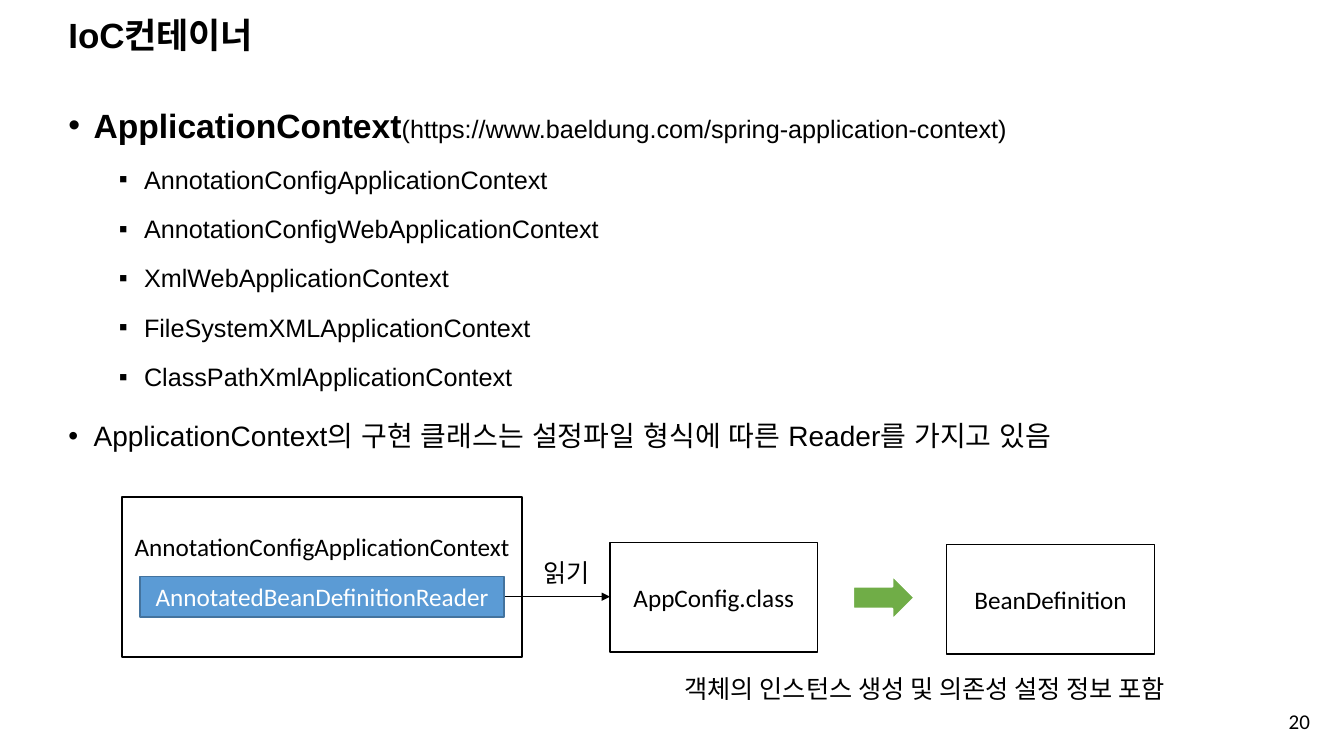
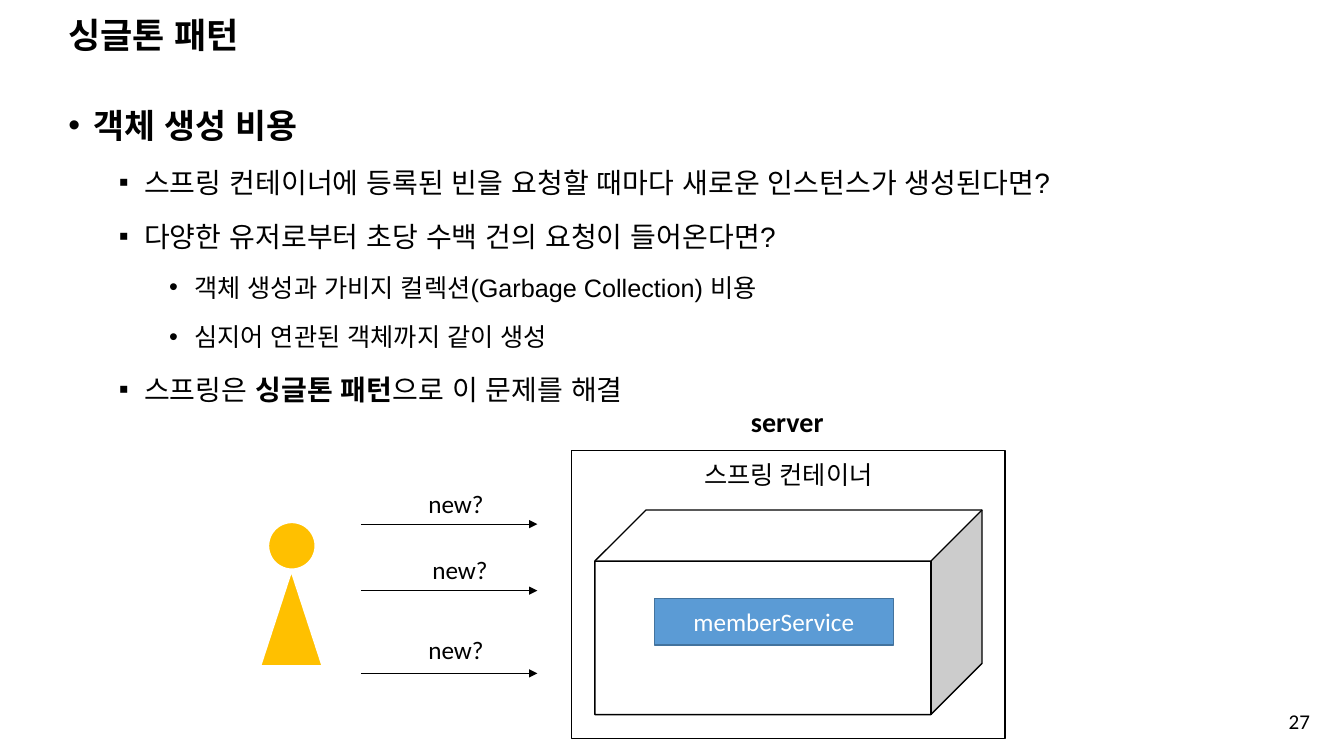
"""Builds two lecture slides on the IoC container and the singleton pattern."""
from dataclasses import dataclass

from lxml import etree
from pptx import Presentation
from pptx.dml.color import RGBColor
from pptx.enum.shapes import MSO_CONNECTOR, MSO_SHAPE
from pptx.enum.text import MSO_ANCHOR, MSO_AUTO_SIZE, PP_ALIGN
from pptx.oxml.ns import qn
from pptx.util import Inches, Pt

RECT, CUBE = MSO_SHAPE.RECTANGLE, MSO_SHAPE.CUBE
OVAL, CONE = MSO_SHAPE.OVAL, MSO_SHAPE.ISOSCELES_TRIANGLE
ARROW, LINE = MSO_SHAPE.RIGHT_ARROW, MSO_CONNECTOR.STRAIGHT
TOP, MIDDLE = MSO_ANCHOR.TOP, MSO_ANCHOR.MIDDLE
LEFT, CENTER, RIGHT = PP_ALIGN.LEFT, PP_ALIGN.CENTER, PP_ALIGN.RIGHT
GROW = MSO_AUTO_SIZE.SHAPE_TO_FIT_TEXT


@dataclass(frozen=True)
class Theme:
    """Colours, fonts and type sizes shared by the slides."""
    black: str = "000000"
    white: str = "FFFFFF"
    blue: str = "5B9BD5"
    navy: str = "43739E"
    green: str = "70AD47"
    gold: str = "FFC000"
    head: str = "Arial"
    body: str = "Calibri"
    title: int = 25
    topic: int = 24
    large: int = 20
    base: int = 18
    page: int = 15
    thin: float = 0.5
    edge: float = 1
    bold: float = 1.5


THEME = Theme()
MARKS = ("•", "▪", "•")


class Deck:
    """Holds the style and the current slide."""

    def __init__(self, theme):
        """Open an empty wide deck."""
        self.theme = theme
        self.file = Presentation()
        self.file.slide_width = Inches(13.33)
        self.file.slide_height = Inches(7.5)
        self.slide = None

    def page(self, title, number):
        """Start a slide with its title and page number."""
        t = self.theme
        self.slide = self.file.slides.add_slide(self.file.slide_layouts[6])
        frame = self.frame((0.58, 0.18, 11.5, 0.38), MIDDLE)
        para = frame.paragraphs[0]
        para.line_spacing = 0.9
        self.run(para, title, size=t.title, bold=True, name=t.head)
        frame = self.frame((10.09, 6.95, 3, 0.4), MIDDLE)
        para = frame.paragraphs[0]
        para.alignment = RIGHT
        self.run(para, str(number), size=t.page)

    def run(self, para, text, color=None, **style):
        """Add a run of styled text."""
        t = self.theme
        run = para.add_run()
        run.text = text
        look = {"name": t.body, "size": t.base, "bold": False, **style}
        look["size"] = Pt(look["size"])
        for key, value in look.items():
            setattr(run.font, key, value)
        run.font.color.rgb = RGBColor.from_string(color or t.black)
        east = etree.SubElement(run.font._element, qn("a:ea"))
        east.set("typeface", look["name"])

    def frame(self, area, anchor=TOP, wrap=True):
        """Add an empty text box and return its frame."""
        box = self.slide.shapes.add_textbox(*map(Inches, area))
        frame = box.text_frame
        look = {"word_wrap": wrap, "vertical_anchor": anchor}
        for key, value in look.items():
            setattr(frame, key, value)
        return frame

    def label(self, area, text, align=LEFT, wrap=False, **style):
        """Add a caption that grows with its text."""
        frame = self.frame(area, wrap=wrap)
        frame.auto_size = GROW
        para = frame.paragraphs[0]
        para.alignment = align
        self.run(para, text, **style)

    def list(self, items):
        """Add the bullet list from (level, runs) pairs."""
        t = self.theme
        frame = self.frame((0.58, 0.83, 12.39, 6.43))
        for i, (level, runs) in enumerate(items):
            para = frame.add_paragraph() if i else frame.paragraphs[0]
            props = para._p.get_or_add_pPr()
            props.set("marL", str(Inches(0.25 + level * 0.5)))
            props.set("indent", str(Inches(-0.25)))
            font = etree.SubElement(props, qn("a:buFont"))
            font.set("typeface", t.head)
            mark = etree.SubElement(props, qn("a:buChar"))
            mark.set("char", MARKS[level])
            look = {"level": level, "line_spacing": 1.4}
            if i:
                look["space_before"] = Pt(5 if level else 10)
            for key, value in look.items():
                setattr(para, key, value)
            for text, size, bold in runs:
                self.run(para, text, size=size, bold=bold, name=t.head)

    def shape(self, kind, area, fill, line, width, text="", color=None, foot=0.05):
        """Add a preset shape with optional centred text."""
        form = self.slide.shapes.add_shape(kind, *map(Inches, area))
        form.shadow.inherit = False
        if fill:
            form.fill.solid()
            form.fill.fore_color.rgb = RGBColor.from_string(fill)
        else:
            form.fill.background()
        form.line.color.rgb = RGBColor.from_string(line)
        form.line.width = Pt(width)
        if text:
            frame = form.text_frame
            look = {"word_wrap": True, "vertical_anchor": MIDDLE,
                    "margin_bottom": Inches(foot)}
            for key, value in look.items():
                setattr(frame, key, value)
            para = frame.paragraphs[0]
            para.alignment = CENTER
            self.run(para, text, color)

    def box(self, area, text="", foot=0.05, kind=RECT):
        """Add a white box with a black edge."""
        t = self.theme
        self.shape(kind, area, t.white, t.black, t.edge, text, foot=foot)

    def tag(self, area, text):
        """Add a blue box with white text."""
        t = self.theme
        self.shape(RECT, area, t.blue, t.navy, t.edge, text, t.white)

    def icon(self, kind, area, fill):
        """Add a coloured shape with a white edge."""
        self.shape(kind, area, fill, self.theme.white, self.theme.bold)

    def arrow(self, left, right, top):
        """Add a thin level arrow pointing right."""
        ends = map(Inches, (left, top, right, top))
        link = self.slide.shapes.add_connector(LINE, *ends)
        link.line.color.rgb = RGBColor.from_string(self.theme.black)
        link.line.width = Pt(self.theme.thin)
        tail = etree.SubElement(link.line._get_or_add_ln(), qn("a:tailEnd"))
        tail.set("type", "triangle")
        etree.SubElement(link._element.spPr, qn("a:effectLst"))


def context(deck):
    """Draw the container slide."""
    t = deck.theme
    deck.page("IoC컨테이너", 20)
    kinds = ("AnnotationConfigApplicationContext",
             "AnnotationConfigWebApplicationContext",
             "XmlWebApplicationContext",
             "FileSystemXMLApplicationContext",
             "ClassPathXmlApplicationContext")
    link = "(https://www.baeldung.com/spring-application-context)"
    note = "ApplicationContext의 구현 클래스는 설정파일 형식에 따른 Reader를 가지고 있음"
    deck.list([
        (0, [("ApplicationContext", t.topic, True), (link, t.base, False)]),
        *((1, [(kind, t.base, False)]) for kind in kinds),
        (0, [(note, t.large, False)]),
    ])
    deck.box((6.05, 5.38, 2.06, 1.09), "AppConfig.class")
    deck.box((1.21, 4.93, 3.97, 1.59), kinds[0], foot=0.66)
    deck.arrow(5, 6.05, 5.92)
    deck.icon(ARROW, (8.46, 5.71, 0.61, 0.44), t.green)
    deck.label((6.69, 6.63, 5.56, 0.4),
               "객체의 인스턴스 생성 및 의존성 설정 정보 포함", wrap=True)
    deck.box((9.39, 5.4, 2.06, 1.09), "BeanDefinition")
    deck.tag((1.39, 5.72, 3.61, 0.4), "AnnotatedBeanDefinitionReader")
    deck.label((5.29, 5.48, 0.71, 0.4), "읽기")


def single(deck):
    """Draw the singleton slide."""
    t = deck.theme
    deck.page("싱글톤 패턴", 27)
    deck.list([
        (0, [("객체 생성 비용", t.topic, True)]),
        (1, [("스프링 컨테이너에 등록된 빈을 요청할 때마다 새로운 인스턴스가 생성된다면?",
              t.large, False)]),
        (1, [("다양한 유저로부터 초당 수백 건의 요청이 들어온다면?", t.large, False)]),
        (2, [("객체 생성과 가비지 컬렉션(Garbage Collection) 비용", t.base, False)]),
        (2, [("심지어 연관된 객체까지 같이 생성", t.base, False)]),
        (1, [("스프링은 ", t.large, False), ("싱글톤 패턴", t.large, True),
             ("으로 이 문제를 해결", t.large, False)]),
    ])
    deck.shape(RECT, (5.67, 4.47, 4.3, 2.86), None, t.black, t.edge)
    deck.label((7.35, 3.96, 0.93, 0.44), "server", size=t.large, bold=True)
    deck.box((5.9, 5.06, 3.84, 2.03), kind=CUBE)
    deck.label((6.04, 4.51, 3.56, 0.4), "스프링 컨테이너", CENTER, True)
    deck.tag((6.49, 5.94, 2.37, 0.46), "memberService")
    deck.icon(OVAL, (2.66, 5.18, 0.47, 0.47), t.gold)
    deck.icon(CONE, (2.58, 5.66, 0.62, 0.95), t.gold)
    for top, left, high in ((5.2, 4.15, 4.8), (5.86, 4.19, 5.45), (6.68, 4.15, 6.24)):
        deck.arrow(3.58, 5.33, top)
        deck.label((left, high, 0.76, 0.4), "new?")


def main():
    """Build and save the deck."""
    deck = Deck(THEME)
    context(deck)
    single(deck)
    deck.file.save("out.pptx")


if __name__ == "__main__":
    main()
